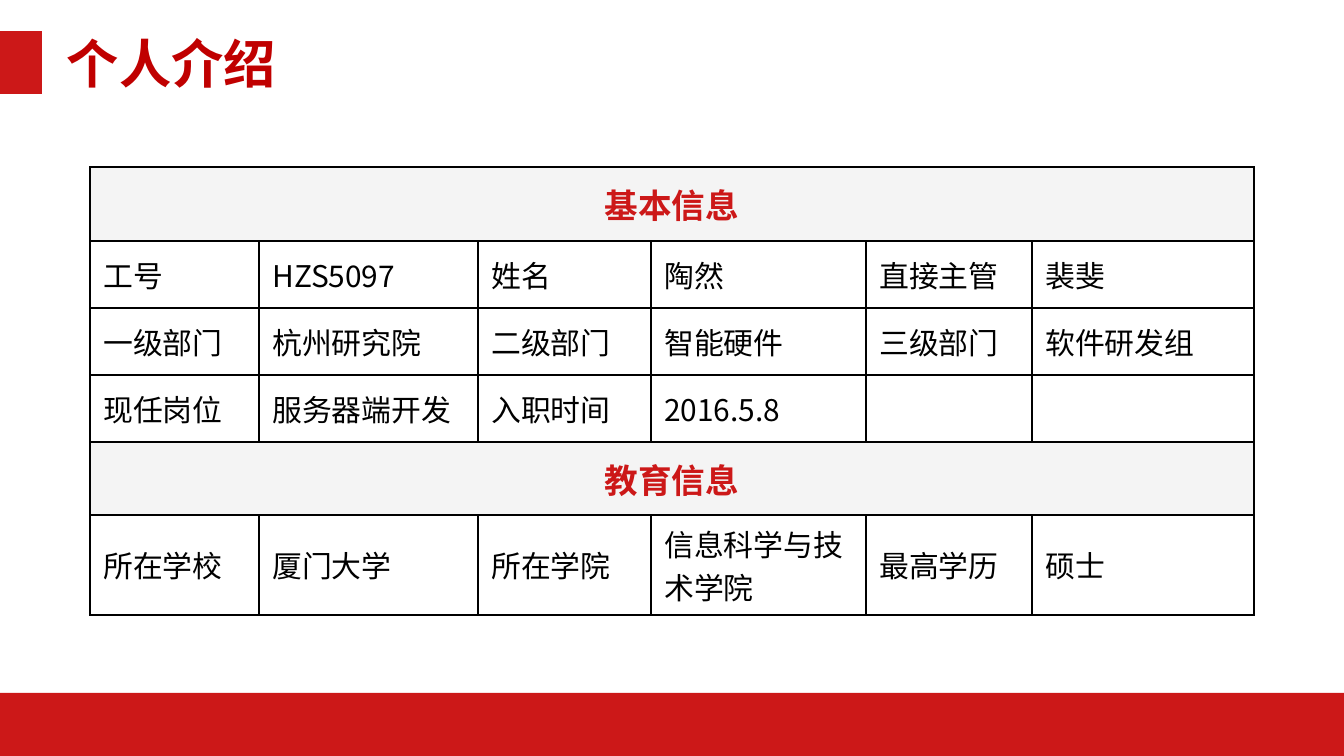
from dataclasses import dataclass

from lxml import etree
from pptx import Presentation
from pptx import util as u
from pptx.dml import color
from pptx.enum import shapes, text
from pptx.oxml import ns

PX = 914400 / 134.4
WIDTH, HEIGHT = 1344, 756
FONT = "Noto Sans CJK SC"
COLORS = {
    "background": "FFFFFF",
    "accent": "CC1818",
    "title": "C00000",
    "heading_fill": "F4F4F4",
    "text": "000000",
}


@dataclass(frozen=True)
class Box:
    left: int
    top: int
    width: int
    height: int

    def emu(self) -> list[int]:
        return [px(n) for n in (self.left, self.top, self.width, self.height)]


@dataclass(frozen=True)
class TextStyle:
    size: int
    color: str
    bold: bool = False


@dataclass(frozen=True)
class Section:
    heading: str
    heading_height: int
    row_height: int
    rows: list[list[str]]


TITLE = TextStyle(28, "title", True)
HEADING = TextStyle(18, "accent", True)
BODY = TextStyle(16, "text")
BANDS = [Box(0, 693, WIDTH, 63), Box(0, 31, 42, 63)]
COLUMNS = [169, 219, 173, 215, 166, 222]
SECTIONS = [
    Section("基本信息", 74, 67, [
        ["工号", "HZS5097", "姓名", "陶然", "直接主管", "裴斐"],
        ["一级部门", "杭州研究院", "二级部门", "智能硬件", "三级部门", "软件研发组"],
        ["现任岗位", "服务器端开发", "入职时间", "2016.5.8", "", ""],
    ]),
    Section("教育信息", 73, 100, [
        ["所在学校", "厦门大学", "所在学院", "信息科学与技术学院", "最高学历", "硕士"],
    ]),
]


def px(length: int) -> int:
    return round(length * PX)


def rgb(name: str) -> color.RGBColor:
    return color.RGBColor.from_string(COLORS[name])


def add_run(para, words: str, style: TextStyle) -> None:
    span = para.add_run()
    span.text = words
    span.font.name = FONT
    span.font.size = u.Pt(style.size)
    span.font.bold = style.bold
    span.font.color.rgb = rgb(style.color)
    latin = span.font._element.find(ns.qn("a:latin"))
    east_asian = etree.Element(ns.qn("a:ea"), typeface=FONT)
    latin.addnext(east_asian)


def add_band(page, box: Box) -> None:
    band = page.shapes.add_shape(shapes.MSO_SHAPE.RECTANGLE, *box.emu())
    band.shadow.inherit = False
    band.fill.solid()
    band.fill.fore_color.rgb = rgb("accent")
    band.line.fill.background()


def add_title(page, words: str, box: Box) -> None:
    frame = page.shapes.add_textbox(*box.emu()).text_frame
    frame.word_wrap = True
    frame.margin_left = px(25)
    frame.vertical_anchor = text.MSO_ANCHOR.MIDDLE
    add_run(frame.paragraphs[0], words, TITLE)


def add_borders(cell) -> None:
    properties = cell._tc.get_or_add_tcPr()
    for side in ("lnL", "lnR", "lnT", "lnB"):
        line = etree.SubElement(properties, ns.qn(f"a:{side}"), w=str(u.Pt(1)))
        fill = etree.SubElement(line, ns.qn("a:solidFill"))
        etree.SubElement(fill, ns.qn("a:srgbClr"), val=COLORS["text"])


def fill_cell(cell, words: str, style: TextStyle) -> None:
    cell.vertical_anchor = text.MSO_ANCHOR.MIDDLE
    if words:
        add_run(cell.text_frame.paragraphs[0], words, style)


def add_information_table(page, left: int, top: int) -> None:
    heights = []
    for section in SECTIONS:
        heights += [section.heading_height] + [section.row_height] * len(section.rows)
    box = Box(left, top, sum(COLUMNS), sum(heights))
    table = page.shapes.add_table(len(heights), len(COLUMNS), *box.emu()).table
    table.first_row = table.horz_banding = False
    for column, width in zip(table.columns, COLUMNS):
        column.width = px(width)
    for row, height in zip(table.rows, heights):
        row.height = px(height)
    for cell in table.iter_cells():
        add_borders(cell)
        cell.fill.background()

    index = 0
    for section in SECTIONS:
        heading = table.cell(index, 0)
        heading.merge(table.cell(index, len(COLUMNS) - 1))
        heading.fill.solid()
        heading.fill.fore_color.rgb = rgb("heading_fill")
        fill_cell(heading, section.heading, HEADING)
        heading.text_frame.paragraphs[0].alignment = text.PP_ALIGN.CENTER
        for offset, row in enumerate(section.rows, start=1):
            for column, words in enumerate(row):
                fill_cell(table.cell(index + offset, column), words, BODY)
        index += 1 + len(section.rows)


def main() -> None:
    deck = Presentation()
    deck.slide_width, deck.slide_height = px(WIDTH), px(HEIGHT)
    page = deck.slides.add_slide(deck.slide_layouts[6])
    page.background.fill.solid()
    page.background.fill.fore_color.rgb = rgb("background")
    for band in BANDS:
        add_band(page, band)
    add_title(page, "个人介绍", Box(42, 31, 1260, 64))
    add_information_table(page, 90, 167)
    deck.save("out.pptx")


if __name__ == "__main__":
    main()
